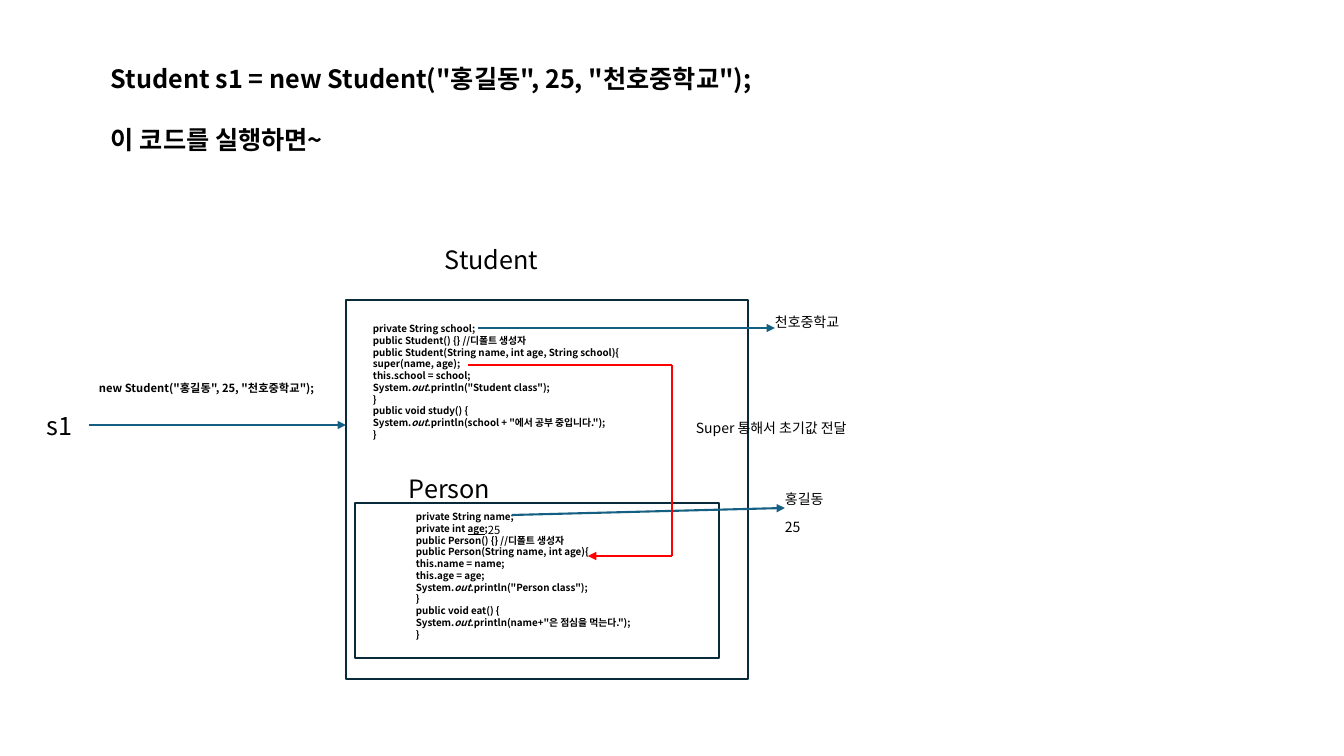
from dataclasses import dataclass
from itertools import pairwise

from pptx import Presentation
from pptx.dml.color import RGBColor
from pptx.enum.shapes import MSO_CONNECTOR, MSO_SHAPE
from pptx.enum.text import MSO_AUTO_SIZE
from pptx.oxml.ns import qn
from pptx.util import Emu, Pt
from lxml.etree import SubElement

EMU_PER_PX = 914400 / 100.8


def px(length):
    return Emu(round(length * EMU_PER_PX))


@dataclass(frozen=True)
class Theme:
    font: str = "Noto Sans CJK KR"
    ink: str = "000000"
    paper: str = "FFFFFF"
    frame: str = "092A39"
    reference: str = "156082"
    super_call: str = "FF0000"
    heading: int = 18
    value: int = 10
    caption: int = 8
    code: int = 7
    line: float = 1.5


class MemoryDiagram:
    def __init__(self, slide, theme):
        self.shapes = slide.shapes
        self.theme = theme

    def outline(self, line, color):
        line.color.rgb = RGBColor.from_string(color)
        line.width = Pt(self.theme.line)

    def text(self, box, lines, size, bold=False, gap=0):
        """Each line is a string, or a tuple of strings and (string, font attribute) pairs."""
        frame = self.shapes.add_textbox(*map(px, box)).text_frame
        frame.word_wrap = True
        frame.auto_size = MSO_AUTO_SIZE.SHAPE_TO_FIT_TEXT
        for index, line in enumerate(lines):
            paragraph = frame.add_paragraph() if index else frame.paragraphs[0]
            if index and gap:
                paragraph.space_before = Pt(gap)
            for part in (line,) if isinstance(line, str) else line:
                words, emphasis = (part, None) if isinstance(part, str) else part
                run = paragraph.add_run()
                run.text = words
                font = run.font
                font.name, font.size, font.bold = self.theme.font, Pt(size), bold
                font.color.rgb = RGBColor.from_string(self.theme.ink)
                SubElement(run._r.get_or_add_rPr(), qn("a:ea"), typeface=self.theme.font)
                if emphasis:
                    setattr(font, emphasis, True)

    def object_frame(self, box):
        frame = self.shapes.add_shape(MSO_SHAPE.RECTANGLE, *map(px, box))
        frame.shadow.inherit = False
        frame.fill.solid()
        frame.fill.fore_color.rgb = RGBColor.from_string(self.theme.paper)
        self.outline(frame.line, self.theme.frame)

    def line(self, start, end, color, arrow=True):
        link = self.shapes.add_connector(MSO_CONNECTOR.STRAIGHT, *map(px, start + end))
        self.outline(link.line, color)
        if arrow:
            SubElement(link.line._get_or_add_ln(), qn("a:tailEnd"), type="triangle")
        SubElement(link._element.spPr, qn("a:effectLst"))


def println(argument):
    return "System.", ("out", "italic"), f".println({argument});"


STUDENT_CODE = [
    "private String school;",
    "public Student() {} //디폴트 생성자",
    "public Student(String name, int age, String school){",
    "super(name, age);",
    "this.school = school;",
    println('"Student class"'),
    "}",
    "public void study() {",
    println('school + "에서 공부 중입니다."'),
    "}",
]
PERSON_CODE = [
    "private String name;",
    ("private int ", ("age", "underline"), ";"),
    "public Person() {} //디폴트 생성자",
    "public Person(String name, int age){",
    "this.name = name;",
    "this.age = age;",
    println('"Person class"'),
    "}",
    "public void eat() {",
    println('name+"은 점심을 먹는다."'),
    "}",
]
NEW_STUDENT = 'new Student("홍길동", 25, "천호중학교");'


def main():
    theme = Theme()
    deck = Presentation()
    deck.slide_width, deck.slide_height = px(1344), px(756)
    diagram = MemoryDiagram(deck.slides.add_slide(deck.slide_layouts[6]), theme)

    # Statement being run
    diagram.text((101, 58, 722, 102), [f"Student s1 = {NEW_STUDENT}", "이 코드를 실행하면~"],
                 theme.heading, bold=True, gap=22)

    # Student object with its Person part
    diagram.text((37, 405, 75, 40), ["s1"], theme.heading)
    diagram.object_frame((346, 300, 402, 379))
    diagram.text((363, 318, 463, 141), STUDENT_CODE, theme.code, bold=True)
    diagram.text((435, 239, 185, 40), ["Student"], theme.heading)
    diagram.object_frame((355, 503, 364, 155))
    diagram.text((406, 506, 300, 152), PERSON_CODE, theme.code, bold=True)

    # References from s1 and the fields
    for start, end in [((89, 425), (346, 425)),
                       ((478, 328), (775, 328)),
                       ((512, 515), (785, 508))]:
        diagram.line(start, end, theme.reference)

    # Field values
    for box, value in [((765, 309, 178, 27), "천호중학교"),
                       ((775, 486, 178, 27), "홍길동"),
                       ((775, 514, 46, 44), "25")]:
        diagram.text(box, [value], theme.value)
    diagram.text((478, 518, 85, 37), ["25"], theme.caption)

    # Call of the Person constructor through super
    super_route = [(468, 365), (672, 365), (672, 556), (588, 556)]
    for start, end in pairwise(super_route):
        diagram.line(start, end, theme.super_call, arrow=end == super_route[-1])
    diagram.text((686, 415, 230, 27), ["Super 통해서 초기값 전달"], theme.value)

    # Remaining labels
    diagram.text((399, 468, 185, 40), ["Person"], theme.heading)
    diagram.text((89, 376, 239, 24), [NEW_STUDENT], theme.caption, bold=True)

    deck.save("out.pptx")


if __name__ == "__main__":
    main()
